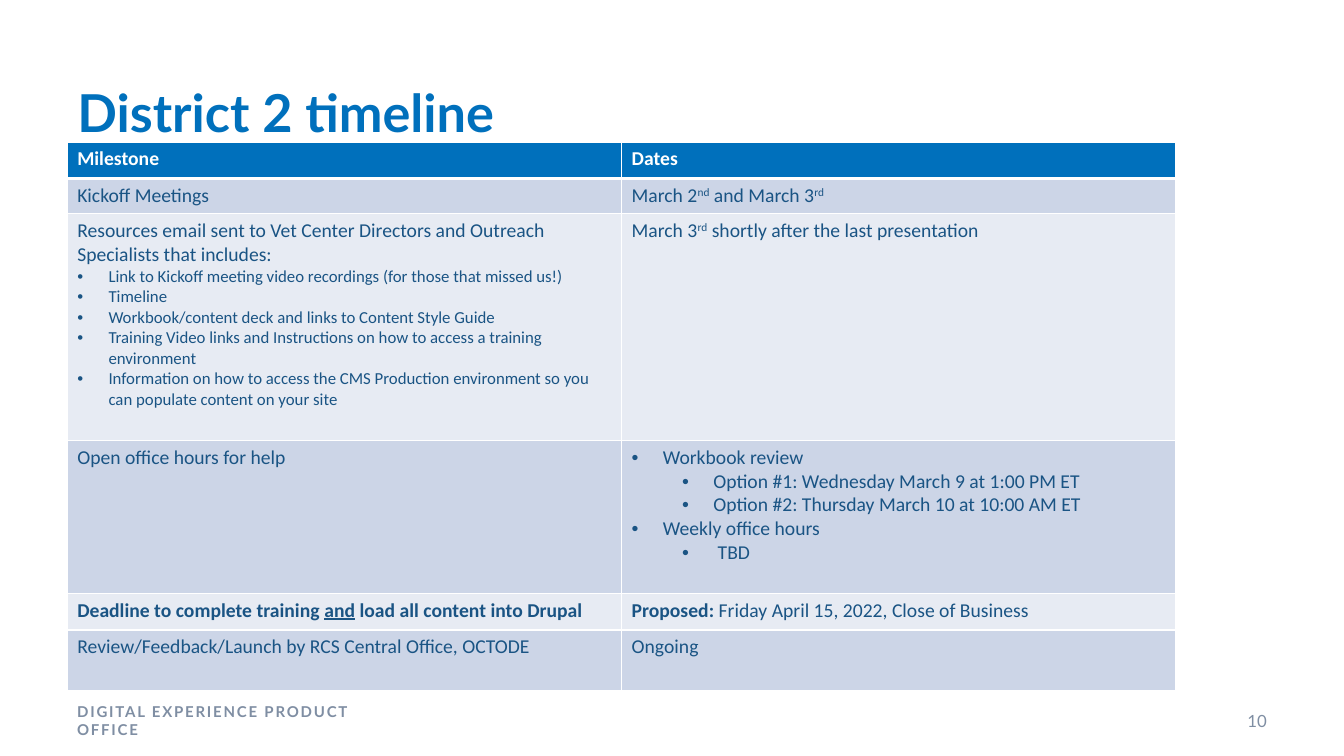
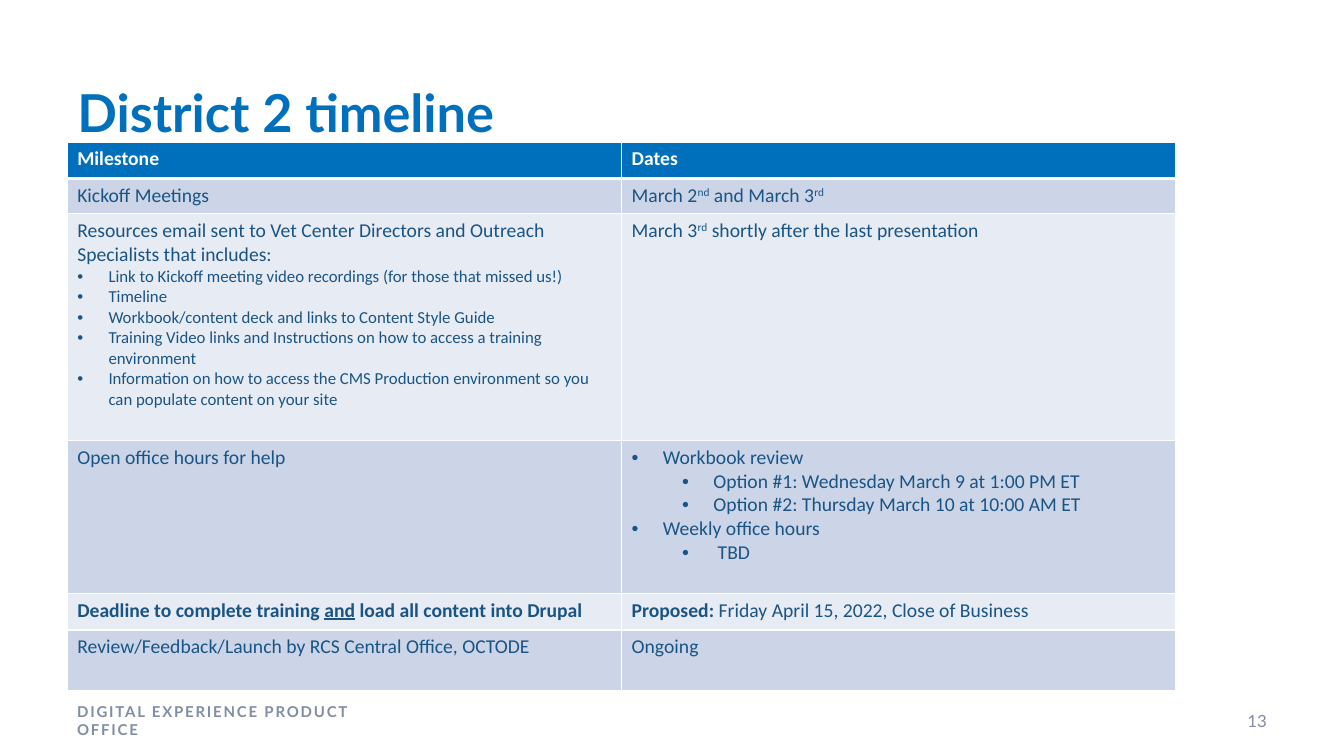
from dataclasses import dataclass

from lxml import etree
from pptx import Presentation
from pptx import util as u
from pptx.dml.color import RGBColor
from pptx.enum import text
from pptx.oxml import ns

BLUE = RGBColor(0x00, 0x70, 0xBC)
NAVY = RGBColor(0x1A, 0x54, 0x84)
GREY = RGBColor(0x7F, 0x8E, 0xA3)
WHITE = RGBColor(0xFF, 0xFF, 0xFF)
BAND_DARK = RGBColor(0xCC, 0xD5, 0xE7)
BAND_LIGHT = RGBColor(0xE7, 0xEB, 0xF3)

HEADING_FONT, TABLE_FONT = "Lato", "Calibri"

WIDTH, HEIGHT = u.Inches(13.33), u.Inches(7.5)
COLUMNS, ROWS = 40, 30

# Boxes in grid columns and rows: left, top, width, height
TITLE_BOX = (2, 3, 33, 3.68)
TABLE_BOX = (2, 5.64, 33, 21.76)
OFFICE_BOX = (2, 27.8, 10.62, 1.6)
NUMBER_BOX = (35, 27.8, 3, 1.6)

ROW_HEIGHTS = (0.36, 0.35, 2.25, 1.52, 0.36, 0.6)
BULLET_INDENT, LEVEL_STEP = 0.31, 0.5


@dataclass
class Line:
    """One paragraph; runs are strings or (text, style) pairs."""
    runs: tuple
    level: int | None = None
    size: float = 14


def line(*runs):
    return Line(runs)


def bullet(words, level=0, size=14):
    return Line((words,), level, size)


MILESTONES = (
    ([line(("Milestone", "bold"))], [line(("Dates", "bold"))]),
    ([line("Kickoff Meetings")],
     [line("March 2", ("nd", "super"), " and March 3", ("rd", "super"))]),
    ([line("Resources email sent to Vet Center Directors and Outreach "
           "Specialists that includes:"),
      bullet("Link to Kickoff meeting video recordings (for those that missed us!)", size=12),
      bullet("Timeline", size=12),
      bullet("Workbook/content deck and links to Content Style Guide", size=12),
      bullet("Training Video links and Instructions on how to access a training "
             "environment", size=12),
      bullet("Information on how to access the CMS Production environment so you "
             "can populate content on your site", size=12)],
     [line("March 3", ("rd", "super"), " shortly after the last presentation")]),
    ([line("Open office hours for help")],
     [bullet("Workbook review"),
      bullet("Option #1: Wednesday March 9 at 1:00 PM ET", level=1),
      bullet("Option #2: Thursday March 10 at 10:00 AM ET", level=1),
      bullet("Weekly office hours"),
      bullet(" TBD", level=1)]),
    ([line(("Deadline to complete training ", "bold"), ("and", "bold underline"),
           (" load all content into Drupal", "bold"))],
     [line(("Proposed: ", "bold"), "Friday April 15, 2022, Close of Business")]),
    ([line("Review/Feedback/Launch by RCS Central Office, OCTODE")],
     [line("Ongoing")]),
)


def on_grid(box):
    """Turn a grid box into left, top, width and height in EMU."""
    left, top, width, height = box
    return (int(WIDTH * left / COLUMNS), int(HEIGHT * top / ROWS),
            int(WIDTH * width / COLUMNS), int(HEIGHT * height / ROWS))


def set_font(font, name, size, color, bold=None):
    font.name, font.size, font.bold = name, u.Pt(size), bold
    font.color.rgb = color


def add_title(slide, box, words):
    title = slide.shapes.title
    title.left, title.top, title.width, title.height = on_grid(box)
    frame = title.text_frame
    frame.text = words
    frame.auto_size = text.MSO_AUTO_SIZE.NONE
    frame.vertical_anchor = text.MSO_ANCHOR.TOP
    heading = frame.paragraphs[0]
    heading.alignment = text.PP_ALIGN.LEFT
    set_font(heading.font, HEADING_FONT, 37.3, BLUE, True)


def add_footer_text(slide, box, words, size, align, bold=None, spacing=0):
    frame = slide.shapes.add_textbox(*on_grid(box)).text_frame
    frame.word_wrap = True
    frame.vertical_anchor = text.MSO_ANCHOR.MIDDLE
    label = frame.paragraphs[0]
    label.alignment = align
    run = label.add_run()
    run.text = words
    if spacing:
        run.font._element.set("spc", str(round(spacing * 100)))
    set_font(label.font, HEADING_FONT, size, GREY, bold)


def add_bullet(paragraph, level):
    paragraph.level = level
    props = paragraph._p.get_or_add_pPr()
    props.set("marL", str(u.Inches(BULLET_INDENT + LEVEL_STEP * level)))
    props.set("indent", str(-u.Inches(BULLET_INDENT)))
    etree.SubElement(props, ns.qn("a:buFont"), typeface="Arial")
    etree.SubElement(props, ns.qn("a:buChar"), char="•")


def set_borders(cell, top=1, bottom=1):
    props = cell._tc.get_or_add_tcPr()
    for side, points in (("L", 1), ("R", 1), ("T", top), ("B", bottom)):
        border = etree.SubElement(props, ns.qn(f"a:ln{side}"), w=str(u.Pt(points)))
        fill = etree.SubElement(border, ns.qn("a:solidFill"))
        etree.SubElement(fill, ns.qn("a:srgbClr"), val=str(WHITE))


def write_lines(frame, lines, color):
    for index, entry in enumerate(lines):
        paragraph = frame.add_paragraph() if index else frame.paragraphs[0]
        if entry.level is not None:
            add_bullet(paragraph, entry.level)
        set_font(paragraph.font, TABLE_FONT, entry.size, color)
        for part in entry.runs:
            words, style = (part, "") if isinstance(part, str) else part
            run = paragraph.add_run()
            run.text = words
            run.font.bold = "bold" in style
            if "underline" in style:
                run.font.underline = True
            if "super" in style:
                run.font._element.set("baseline", "30000")


def add_milestones(slide, box, milestones):
    left, top, width, height = on_grid(box)
    table = slide.shapes.add_table(len(milestones), 2, left, top, width, height).table
    for column in table.columns:
        column.width = width // 2
    for row, (entries, row_height) in enumerate(zip(milestones, ROW_HEIGHTS)):
        table.rows[row].height = u.Inches(row_height)
        band = BLUE if row == 0 else BAND_DARK if row % 2 else BAND_LIGHT
        for column, lines in enumerate(entries):
            cell = table.cell(row, column)
            set_borders(cell, top=3 if row == 1 else 1, bottom=3 if row == 0 else 1)
            cell.fill.solid()
            cell.fill.fore_color.rgb = band
            write_lines(cell.text_frame, lines, NAVY if row else WHITE)


def add_timeline_slide(deck, number):
    slide = deck.slides.add_slide(deck.slide_layouts[5])
    add_title(slide, TITLE_BOX, "District 2 timeline")
    add_milestones(slide, TABLE_BOX, MILESTONES)
    add_footer_text(slide, OFFICE_BOX, "DIGITAL EXPERIENCE PRODUCT OFFICE", 10.7,
                    text.PP_ALIGN.LEFT, bold=True, spacing=1.3)
    add_footer_text(slide, NUMBER_BOX, str(number), 12, text.PP_ALIGN.RIGHT)


def main():
    deck = Presentation()
    deck.slide_width, deck.slide_height = WIDTH, HEIGHT
    for number in (10, 13):
        add_timeline_slide(deck, number)
    deck.save("out.pptx")


if __name__ == "__main__":
    main()
